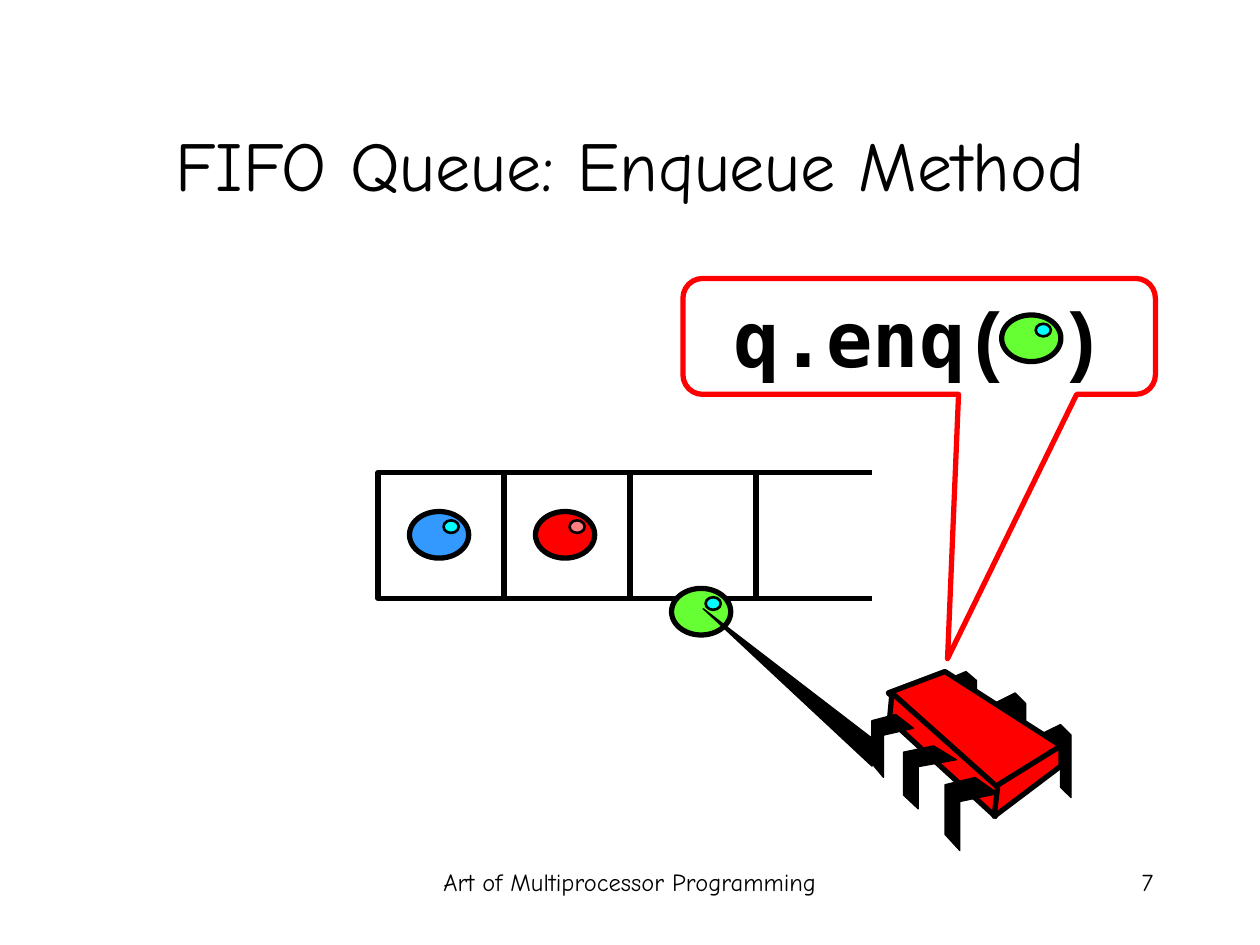
import lxml.etree
import pptx
import pptx.dml.color
import pptx.enum.shapes
import pptx.enum.text
import pptx.oxml.ns
import pptx.util

COLORS = {
    "black": "000000",
    "red": "FF0000",
    "blue": "3399FF",
    "green": "66FF33",
    "cyan": "00FFFF",
    "pink": "FF7C80",
}
FONT = "Comic Neue"
SHAPES = pptx.enum.shapes.MSO_SHAPE
ALIGN = pptx.enum.text.PP_ALIGN
ANCHOR = pptx.enum.text.MSO_ANCHOR

# The page is a grid of 10 columns by 7.5 rows, each one queue cell wide.
CELL = pptx.util.Inches(1)
QUEUE_COL, QUEUE_ROW, QUEUE_CELLS = 3, 3.75, 3

# Leg outlines as shares of the leg's width and height.
FAR_LEG = [(0, 1 / 7), (2 / 3, 0), (1, 1 / 7), (1, 1),
           (2 / 3, 6 / 7), (2 / 3, 2 / 7), (0, 3 / 7)]
NEAR_LEG = [(0.57, 0), (1, 0.22), (0.28, 0.33), (0.28, 1), (0, 0.78), (0, 0.1)]

# Leg places: column, row, width, height.
FAR_LEGS = [(8.25, 5.75, 0.25, 0.58), (7.89, 5.5, 0.25, 0.58), (7.5, 5.33, 0.25, 0.5)]
NEAR_LEGS = [(7.5, 6.17, 0.42, 0.58), (7.17, 5.92, 0.42, 0.5), (6.92, 5.67, 0.33, 0.5)]

BODY_FACES = [
    [(7.5, 5.33), (8.42, 5.92), (7.9, 6.26), (7.05, 5.5)],
    [(7.08, 5.5), (7.92, 6.25), (7.9, 6.48), (7.06, 5.71)],
    [(8.42, 5.92), (8.42, 6.08), (7.89, 6.48), (7.92, 6.23)],
]
ARM = [(6.92, 6.08), (7, 5.92), (5.58, 4.83)]


def grid(*cells):
    return [round(cell * CELL) for cell in cells]


def rgb(name):
    return pptx.dml.color.RGBColor.from_string(COLORS[name])


def style(shape, fill, line, width):
    shape.shadow.inherit = False
    if fill:
        shape.fill.solid()
        shape.fill.fore_color.rgb = rgb(fill)
    else:
        shape.fill.background()
    shape.line.color.rgb = rgb(line)
    shape.line.width = pptx.util.Pt(width)


def add_preset(shapes, kind, place, fill=None, line="black", width=3):
    shape = shapes.add_shape(kind, *grid(*place))
    style(shape, fill, line, width)
    return shape


def add_outline(shapes, points, fill="black", width=0.75):
    start, *rest = [grid(*point) for point in points]
    builder = shapes.build_freeform(*start)
    builder.add_line_segments(rest, close=True)
    style(builder.convert_to_shape(), fill, "black", width)


def add_rule(page, col, row, length):
    line = page.shapes.add_connector(
        pptx.enum.shapes.MSO_CONNECTOR.STRAIGHT, *grid(col, row, col + length, row))
    line.line.color.rgb = rgb("black")
    line.line.width = pptx.util.Pt(3)
    properties = line._element.spPr
    lxml.etree.SubElement(properties, pptx.oxml.ns.qn("a:effectLst"))


def add_span(para, text, size, font=FONT, bold=False):
    span = para.add_run()
    span.text = text
    span.font.name = font
    span.font.size = pptx.util.Pt(size)
    span.font.bold = bold
    span.font.color.rgb = rgb("black")


def add_title(page, text):
    title = page.shapes.title
    title.left, title.top, title.width, title.height = grid(0.75, 0.67, 8.5, 1.25)
    title.text_frame.vertical_anchor = ANCHOR.MIDDLE
    para = title.text_frame.paragraphs[0]
    para.alignment = ALIGN.CENTER
    add_span(para, text, 40)


def add_footer(page, text, col, width, align):
    box = page.shapes.add_textbox(*grid(col, 6.83, width, 0.5))
    box.text_frame.word_wrap = True
    para = box.text_frame.paragraphs[0]
    para.alignment = align
    add_span(para, text, 14)


def add_ball(page, col, row, fill, shine="cyan"):
    ball = page.shapes.add_group_shape().shapes
    add_preset(ball, SHAPES.OVAL, (col, row, 0.47, 0.37), fill)
    add_preset(ball, SHAPES.OVAL, (col + 0.27, row + 0.07, 0.12, 0.1), shine, width=1.5)


def add_queue(page):
    for index in range(QUEUE_CELLS):
        add_preset(page.shapes, SHAPES.RECTANGLE, (QUEUE_COL + index, QUEUE_ROW, 1, 1))
    for row in (QUEUE_ROW, QUEUE_ROW + 1):
        add_rule(page, QUEUE_COL + QUEUE_CELLS - 0.08, row, 1)


def add_leg(shapes, outline, place):
    col, row, width, height = place
    add_outline(shapes, [(col + x * width, row + y * height) for x, y in outline])


def add_thread(page):
    """Draw the chip-shaped creature, far legs first."""
    parts = page.shapes.add_group_shape().shapes
    for place in FAR_LEGS:
        add_leg(parts, FAR_LEG, place)
    for face in BODY_FACES:
        add_outline(parts, face, "red", 3)
    for place in NEAR_LEGS:
        add_leg(parts, NEAR_LEG, place)


def add_call(page):
    bubble = add_preset(page.shapes, SHAPES.ROUNDED_RECTANGULAR_CALLOUT,
                        (5.42, 2.21, 3.75, 0.92), line="red")
    for index, value in enumerate((0.06, 2.78, 0.17)):
        bubble.adjustments[index] = value
    bubble.text_frame.vertical_anchor = ANCHOR.MIDDLE
    para = bubble.text_frame.paragraphs[0]
    para.alignment = ALIGN.CENTER
    add_span(para, "q.enq", 44, "DejaVu Sans Mono", True)
    add_span(para, "( )", 44, "Courier New", True)


def main():
    deck = pptx.Presentation()
    deck.slide_width, deck.slide_height = grid(10, 7.5)
    page = deck.slides.add_slide(deck.slide_layouts.get_by_name("Title Only"))
    add_footer(page, "Art of Multiprocessor Programming", 3.42, 3.17, ALIGN.LEFT)
    add_footer(page, "7", 7.17, 2.08, ALIGN.RIGHT)
    add_title(page, "FIFO Queue: Enqueue Method")
    add_queue(page)
    add_ball(page, QUEUE_COL + 0.25, QUEUE_ROW + 0.31, "blue")
    add_ball(page, QUEUE_COL + 1.25, QUEUE_ROW + 0.31, "red", "pink")
    add_ball(page, 5.33, 4.67, "green")
    add_thread(page)
    add_outline(page.shapes, ARM)
    add_call(page)
    add_ball(page, 7.95, 2.5, "green")
    deck.save("out.pptx")


if __name__ == "__main__":
    main()
